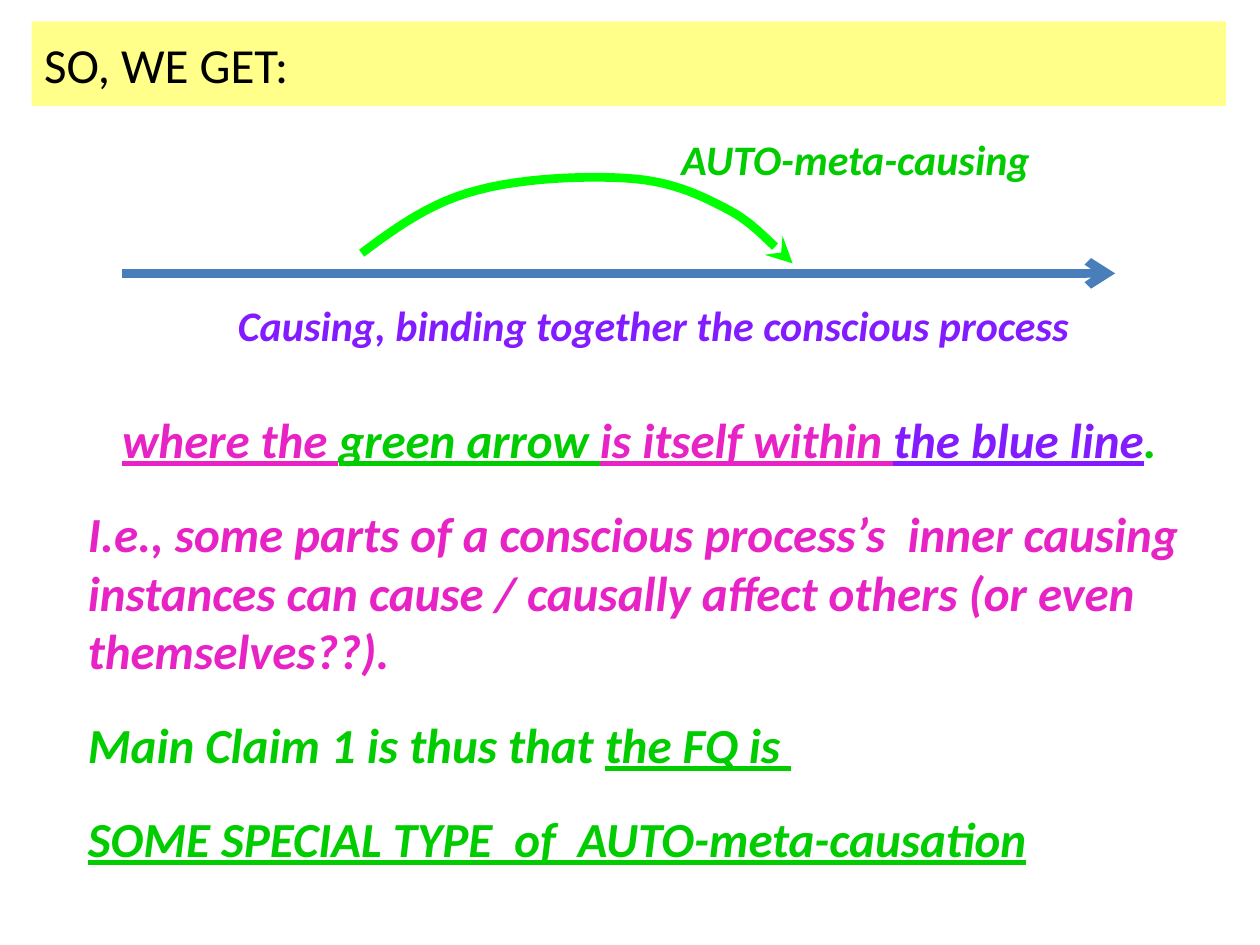
from lxml import etree
from pptx import Presentation
from pptx.dml.color import RGBColor
from pptx.enum import shapes, text
from pptx.oxml.ns import qn
from pptx.util import Inches, Pt

BLACK = RGBColor(0, 0, 0)
YELLOW = RGBColor(0xFF, 0xFF, 0x89)
BLUE = RGBColor(0x4A, 0x7E, 0xBB)
LIME = RGBColor(0, 0xFF, 0)
GREEN = RGBColor(0, 0xCC, 0)
VIOLET = RGBColor(0x82, 0x1B, 0xFF)
PINK = RGBColor(0xE7, 0x23, 0xC6)

HEADING = "SO, WE GET:"
LABELS = [
    ("Causing, binding together the conscious process", VIOLET, (1.79, 2.33, 6.81, 0.5)),
    ("AUTO-meta-causing", GREEN, (5.31, 1.01, 2.99, 0.5)),
]
CLAIMS = [
    [("where the ", PINK, True), ("green arrow ", GREEN, True),
     ("is itself within ", PINK, True), ("the blue line", VIOLET, True),
     (".", GREEN, False)],
    [("I.e., some parts of a conscious process’s  inner causing instances can "
      "cause / causally affect others (or even themselves??).", PINK, False)],
    [("Main Claim 1 is thus that ", GREEN, False), ("the FQ is ", GREEN, True)],
    [("SOME SPECIAL TYPE  of  AUTO-meta-causation", GREEN, True)],
]
ARC_START = (2.87, 2.01)
ARC_CURVES = [
    [(3.15, 1.8), (3.43, 1.6), (3.79, 1.51)],
    [(4.15, 1.41), (4.71, 1.39), (5.04, 1.42)],
    [(5.37, 1.45), (5.6, 1.57), (5.79, 1.67)],
    [(5.98, 1.77), (6.12, 1.94), (6.21, 2.01)],
    [(6.29, 2.07), (6.29, 2.08), (6.29, 2.09)],
]
ARC_STEPS = 12


def place(item, box):
    item.left, item.top, item.width, item.height = map(Inches, box)


def style(run, size, color, emphasis=True, underline=False):
    font = run.font
    font.name, font.size, font.color.rgb = "Calibri", Pt(size), color
    font.bold = font.italic = emphasis
    font.underline = underline


def draw_arrow(stroke, color, head):
    stroke.line.color.rgb = color
    stroke.line.width = Pt(5)
    properties = stroke.element.spPr
    etree.SubElement(properties.find(qn("a:ln")), qn("a:tailEnd"), type=head)
    etree.SubElement(properties, qn("a:effectLst"))


def bezier(points, t):
    weights = ((1 - t) ** 3, 3 * t * (1 - t) ** 2, 3 * t * t * (1 - t), t ** 3)
    return tuple(Inches(sum(w * p[axis] for w, p in zip(weights, points)))
                 for axis in (0, 1))


deck = Presentation()
deck.slide_width, deck.slide_height = Inches(10), Inches(7.5)
slide = deck.slides.add_slide(deck.slide_layouts[5])

heading = slide.shapes.title
place(heading, (0.25, 0.17, 9.48, 0.67))
heading.fill.solid()
heading.fill.fore_color.rgb = YELLOW
heading.text_frame.text = HEADING
heading.text_frame.vertical_anchor = text.MSO_ANCHOR.MIDDLE
heading.text_frame.paragraphs[0].alignment = text.PP_ALIGN.LEFT
style(heading.text_frame.paragraphs[0].runs[0], 28, BLACK, emphasis=False)

process = slide.shapes.add_connector(
    shapes.MSO_CONNECTOR.STRAIGHT, *map(Inches, (0.97, 2.17, 8.85, 2.17)))
draw_arrow(process, BLUE, "arrow")

arc_points, start = [], ARC_START
for curve in ARC_CURVES:
    arc_points += [bezier([start] + curve, step / ARC_STEPS)
                   for step in range(1, ARC_STEPS + 1)]
    start = curve[-1]
outline = slide.shapes.build_freeform(*map(Inches, ARC_START))
outline.add_line_segments(arc_points, close=False)
meta_causing = outline.convert_to_shape()
meta_causing.fill.background()
draw_arrow(meta_causing, LIME, "stealth")

for wording, color, box in LABELS:
    label = slide.shapes.add_textbox(*map(Inches, box)).text_frame
    label.word_wrap = False
    label.text = wording
    style(label.paragraphs[0].runs[0], 24, color)

claims = slide.shapes.add_textbox(*map(Inches, (0.22, 3.2, 9.33, 4.02))).text_frame
claims.word_wrap = True
for index, parts in enumerate(CLAIMS):
    claim = claims.add_paragraph() if index else claims.paragraphs[0]
    claim.alignment = text.PP_ALIGN.LEFT if index else text.PP_ALIGN.CENTER
    claim.space_before = Pt(20)
    layout = claim._p.get_or_add_pPr()
    layout.set("marL", str(Inches(0.38)))
    layout.set("indent", str(-Inches(0.38)))
    etree.SubElement(layout, qn("a:buChar"), char=" ")
    for wording, color, underline in parts:
        run = claim.add_run()
        run.text = wording
        style(run, 28, color, underline=underline)

deck.save("out.pptx")
